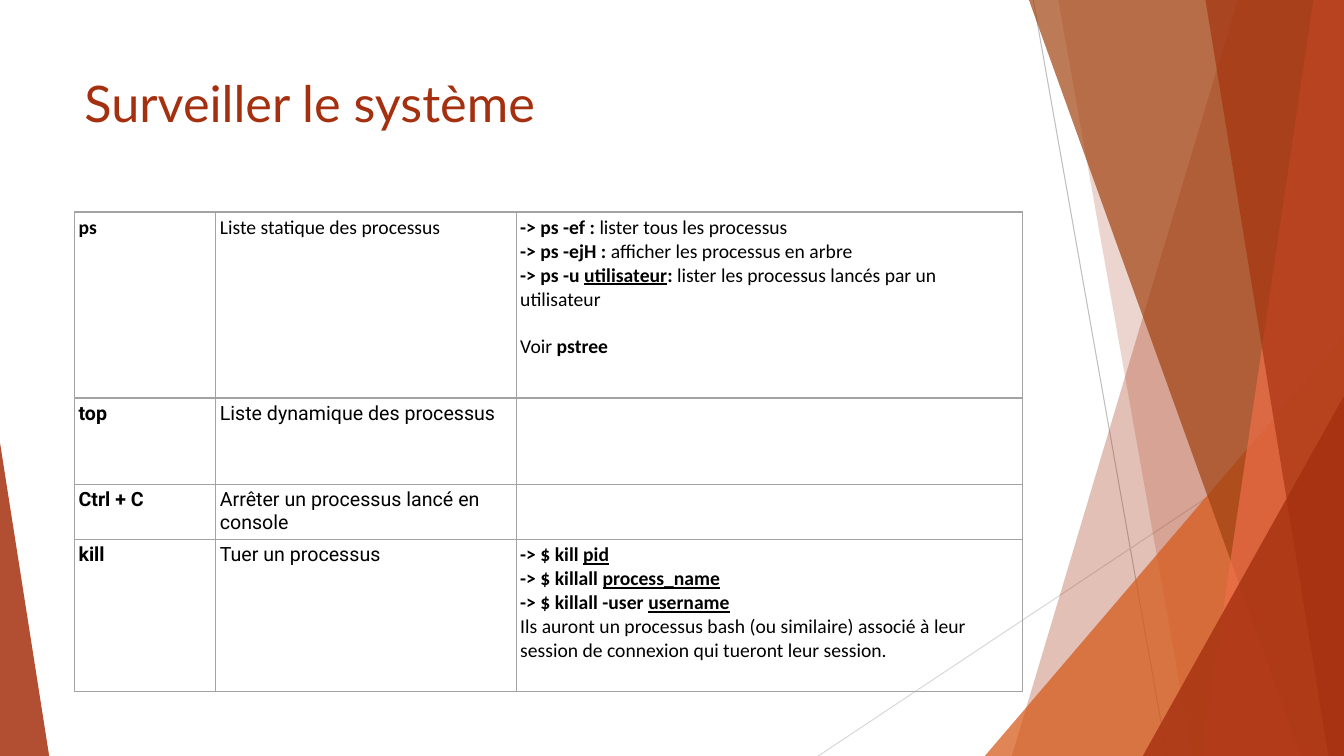
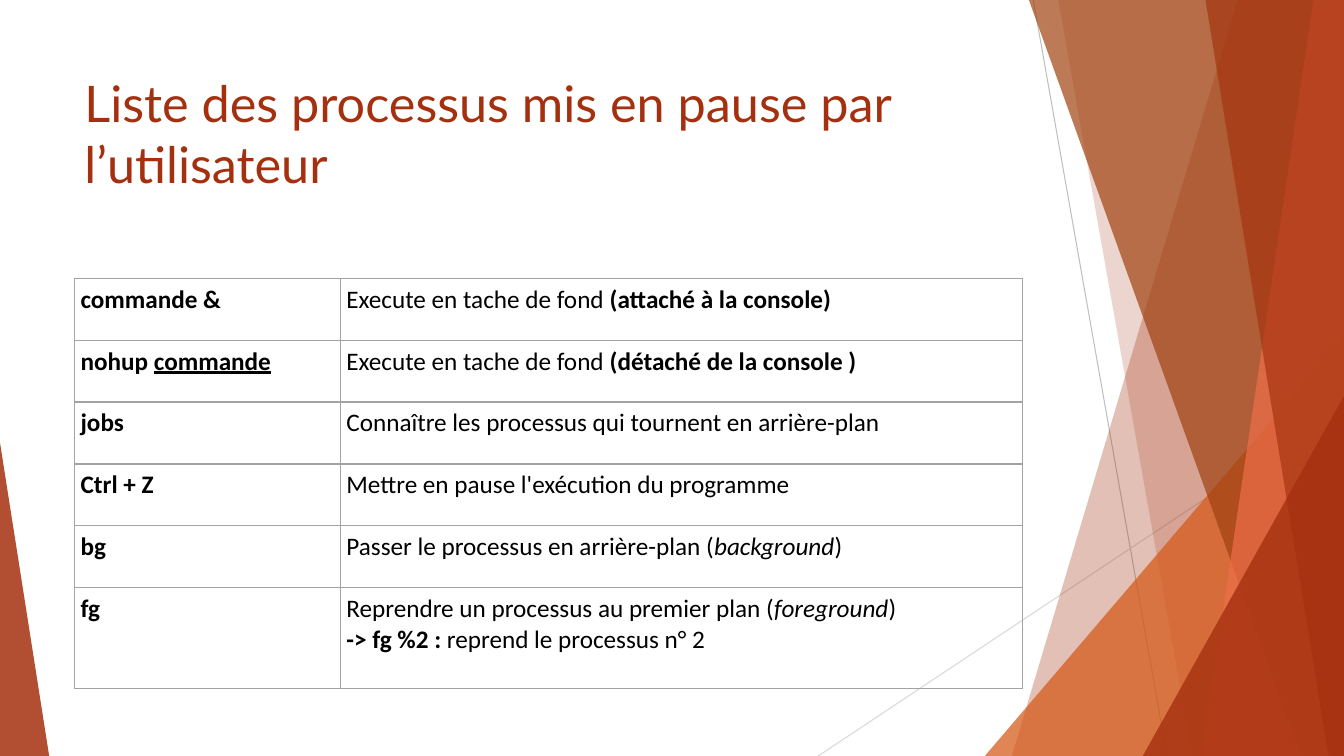
from dataclasses import dataclass

from lxml.etree import SubElement
from pptx import Presentation
from pptx.dml.color import RGBColor
from pptx.enum.shapes import MSO_CONNECTOR, MSO_SHAPE
from pptx.enum.text import MSO_ANCHOR, PP_ALIGN
from pptx.oxml import parse_xml
from pptx.oxml.ns import nsdecls, qn
from pptx.shapes.autoshape import Shape
from pptx.slide import Slide
from pptx.table import _Cell
from pptx.text.text import _Paragraph
from pptx.util import Cm, Pt

COLORS = {
    "rust": "A5300F",
    "orange": "D55816",
    "brown": "A04210",
    "coral": "EE6E4A",
    "border": "A3A3A3",
    "dark_line": "BFBFBF",
    "light_line": "D9D9D9",
    "text": "000000",
}
PAGE_WIDTH, PAGE_HEIGHT = 33.87, 19.05
CONTENT_LEFT, CONTENT_WIDTH = 1.88, 23.88
TITLE_TOP, TITLE_HEIGHT = 1.7, 3.66


@dataclass(frozen=True)
class Band:
    """Area from a slanted left edge to the right side of the page."""
    top_left: float
    bottom_left: float
    color: str
    opacity: int


@dataclass(frozen=True)
class Wedge:
    """Right triangle standing on the bottom of the page."""
    left: float
    right: float
    top: float
    apex: float
    color: str
    opacity: int


@dataclass(frozen=True)
class Ray:
    start: tuple[float, float]
    end: tuple[float, float]
    color: str


@dataclass(frozen=True)
class Span:
    text: str
    bold: bool = False
    underline: bool = False
    italic: bool = False


@dataclass(frozen=True)
class Line:
    spans: tuple[Span, ...]
    font: str = "Calibri"
    space_before: float = 0


@dataclass(frozen=True)
class Grid:
    top: float
    columns: tuple[float, ...]
    rows: tuple[float, ...]
    size: int
    inset: float
    cells: tuple[tuple[tuple[Line, ...], ...], ...]


RAYS = (
    Ray((26.04, 0), (29.41, PAGE_HEIGHT), "dark_line"),
    Ray((PAGE_WIDTH, 10.24), (20.62, PAGE_HEIGHT), "light_line"),
)
FACETS = (
    Band(31.19, 25.5, "rust", 30),
    Band(26.67, 30.05, "rust", 20),
    Wedge(24.82, PAGE_WIDTH, 8.46, 1, "orange", 72),
    Band(25.93, 32.79, "brown", 70),
    Band(33.1, 30.28, "coral", 70),
    Band(30.38, 33.48, "rust", 65),
    Wedge(28.8, PAGE_WIDTH, 9.98, 1, "rust", 80),
    Wedge(0, 1.24, 11.15, 0, "rust", 85),
)


def plain(text: str) -> Span:
    return Span(text)


def bold(text: str) -> Span:
    return Span(text, bold=True)


def argument(text: str) -> Span:
    return Span(text, bold=True, underline=True)


def italic(text: str) -> Span:
    return Span(text, italic=True)


def line(*spans: Span, font: str = "Calibri", space_before: float = 0) -> Line:
    return Line(spans, font, space_before)


def roboto(span: Span) -> tuple[Line, ...]:
    return (line(span, font="Roboto"),)


MONITORING = Grid(
    top=5.34, columns=(3.56, 7.57, 12.75), rows=(4.69, 2.17, 1.36, 3.83),
    size=14, inset=0.1,
    cells=(
        (
            (line(bold("ps")),),
            (line(plain("Liste statique des processus")),),
            (
                line(bold("-> ps -ef : "), plain("lister tous les processus")),
                line(bold("-> ps -ejH :"), plain(" afficher les processus en arbre")),
                line(bold("-> ps -u "), argument("utilisateur"), bold(":"),
                     plain(" lister les processus lancés par un utilisateur")),
                line(plain("Voir "), bold("pstree"), space_before=17),
            ),
        ),
        (roboto(bold("top")), roboto(plain("Liste dynamique des processus")), ()),
        (roboto(bold("Ctrl + C")),
         roboto(plain("Arrêter un processus lancé en console")), ()),
        (
            roboto(bold("kill")),
            roboto(plain("Tuer un processus")),
            (
                line(bold("-> $ kill "), argument("pid")),
                line(bold("-> $ killall "), argument("process_name")),
                line(bold("-> $ killall -user "), argument("username")),
                line(plain("Ils auront un processus bash (ou similaire) associé à leur "
                           "session de connexion qui tueront leur session.")),
            ),
        ),
    ),
)
JOB_CONTROL = Grid(
    top=7.01, columns=(6.7, 17.18), rows=(1.56,) * 5 + (2.55,),
    size=18, inset=0.15,
    cells=(
        ((line(bold("commande &")),),
         (line(plain("Execute en tache de fond "), bold("(attaché à la console)")),)),
        ((line(bold("nohup "), argument("commande")),),
         (line(plain("Execute en tache de fond "), bold("(détaché de la console )")),)),
        ((line(bold("jobs")),),
         (line(plain("Connaître les processus qui tournent en arrière-plan")),)),
        ((line(bold("Ctrl + Z")),),
         (line(plain("Mettre en pause l'exécution du programme")),)),
        ((line(bold("bg")),),
         (line(plain("Passer le processus en arrière-plan ("),
               italic("background"), plain(")")),)),
        ((line(bold("fg")),),
         (line(plain("Reprendre un processus au premier plan ("),
               italic("foreground"), plain(")")),
          line(bold("-> fg %2 :"), plain(" reprend le processus n° 2")))),
    ),
)
PAGES = (
    ("Surveiller le système", MONITORING),
    ("Liste des processus mis en pause par l’utilisateur", JOB_CONTROL),
)


def color_of(name: str) -> RGBColor:
    return RGBColor.from_string(COLORS[name])


def paint(shape: Shape, color: str, opacity: int) -> None:
    shape.shadow.inherit = False
    shape.line.fill.background()
    shape.fill.solid()
    shape.fill.fore_color.rgb = color_of(color)
    value = shape.fill._xPr.find(qn("a:solidFill"))[0]
    SubElement(value, qn("a:alpha")).set("val", str(opacity * 1000))


def add_ray(page: Slide, ray: Ray) -> None:
    connector = page.shapes.add_connector(
        MSO_CONNECTOR.STRAIGHT, *map(Cm, ray.start + ray.end))
    connector.line.color.rgb = color_of(ray.color)
    connector.line.width = Pt(0.75)
    SubElement(connector._element.spPr, qn("a:effectLst"))


def add_band(page: Slide, band: Band) -> None:
    outline = page.shapes.build_freeform(Cm(band.top_left), 0)
    outline.add_line_segments((
        (Cm(PAGE_WIDTH), 0),
        (Cm(PAGE_WIDTH), Cm(PAGE_HEIGHT)),
        (Cm(band.bottom_left), Cm(PAGE_HEIGHT)),
    ), close=True)
    paint(outline.convert_to_shape(), band.color, band.opacity)


def add_wedge(page: Slide, wedge: Wedge) -> None:
    shape = page.shapes.add_shape(
        MSO_SHAPE.ISOSCELES_TRIANGLE, Cm(wedge.left), Cm(wedge.top),
        Cm(wedge.right - wedge.left), Cm(PAGE_HEIGHT - wedge.top))
    shape.adjustments[0] = wedge.apex
    paint(shape, wedge.color, wedge.opacity)


def add_backdrop(page: Slide) -> None:
    for ray in RAYS:
        add_ray(page, ray)
    for facet in FACETS:
        if isinstance(facet, Band):
            add_band(page, facet)
        else:
            add_wedge(page, facet)


def add_span(para: _Paragraph, span: Span, font: str, size: int, color: str) -> None:
    run = para.add_run()
    run.text = span.text
    run.font.name = font
    run.font.size = Pt(size)
    run.font.color.rgb = color_of(color)
    run.font.bold = span.bold
    run.font.underline = span.underline
    run.font.italic = span.italic


def add_title(page: Slide, text: str) -> None:
    box = page.shapes.add_textbox(
        Cm(CONTENT_LEFT), Cm(TITLE_TOP), Cm(CONTENT_WIDTH), Cm(TITLE_HEIGHT))
    frame = box.text_frame
    frame.word_wrap = True
    frame.vertical_anchor = MSO_ANCHOR.TOP
    add_span(frame.paragraphs[0], plain(text), "Lato", 36, "rust")


def add_borders(cell: _Cell) -> None:
    properties = cell._tc.get_or_add_tcPr()
    for position, side in enumerate(("lnL", "lnR", "lnT", "lnB")):
        properties.insert(position, parse_xml(
            f'<a:{side} {nsdecls("a")} w="{Pt(1)}"><a:solidFill>'
            f'<a:srgbClr val="{COLORS["border"]}"/></a:solidFill></a:{side}>'))


def fill_cell(cell: _Cell, lines: tuple[Line, ...], grid: Grid) -> None:
    cell.fill.background()
    add_borders(cell)
    cell.margin_left = cell.margin_right = Cm(grid.inset)
    cell.margin_top = cell.margin_bottom = Cm(grid.inset)
    frame = cell.text_frame
    for index, text_line in enumerate(lines):
        para = frame.add_paragraph() if index else frame.paragraphs[0]
        para.alignment = PP_ALIGN.LEFT
        if text_line.space_before:
            para.space_before = Pt(text_line.space_before)
        for span in text_line.spans:
            add_span(para, span, text_line.font, grid.size, "text")


def add_grid(page: Slide, grid: Grid) -> None:
    table = page.shapes.add_table(
        len(grid.rows), len(grid.columns), Cm(CONTENT_LEFT), Cm(grid.top),
        Cm(CONTENT_WIDTH), Cm(sum(grid.rows))).table
    table.first_row = table.horz_banding = False
    for column, width in zip(table.columns, grid.columns):
        column.width = Cm(width)
    for row, height, contents in zip(table.rows, grid.rows, grid.cells):
        row.height = Cm(height)
        for cell, lines in zip(row.cells, contents):
            fill_cell(cell, lines, grid)


def main() -> None:
    deck = Presentation()
    deck.slide_width, deck.slide_height = Cm(PAGE_WIDTH), Cm(PAGE_HEIGHT)
    for title, grid in PAGES:
        page = deck.slides.add_slide(deck.slide_layouts[6])
        add_backdrop(page)
        add_title(page, title)
        add_grid(page, grid)
    deck.save("out.pptx")


if __name__ == "__main__":
    main()
